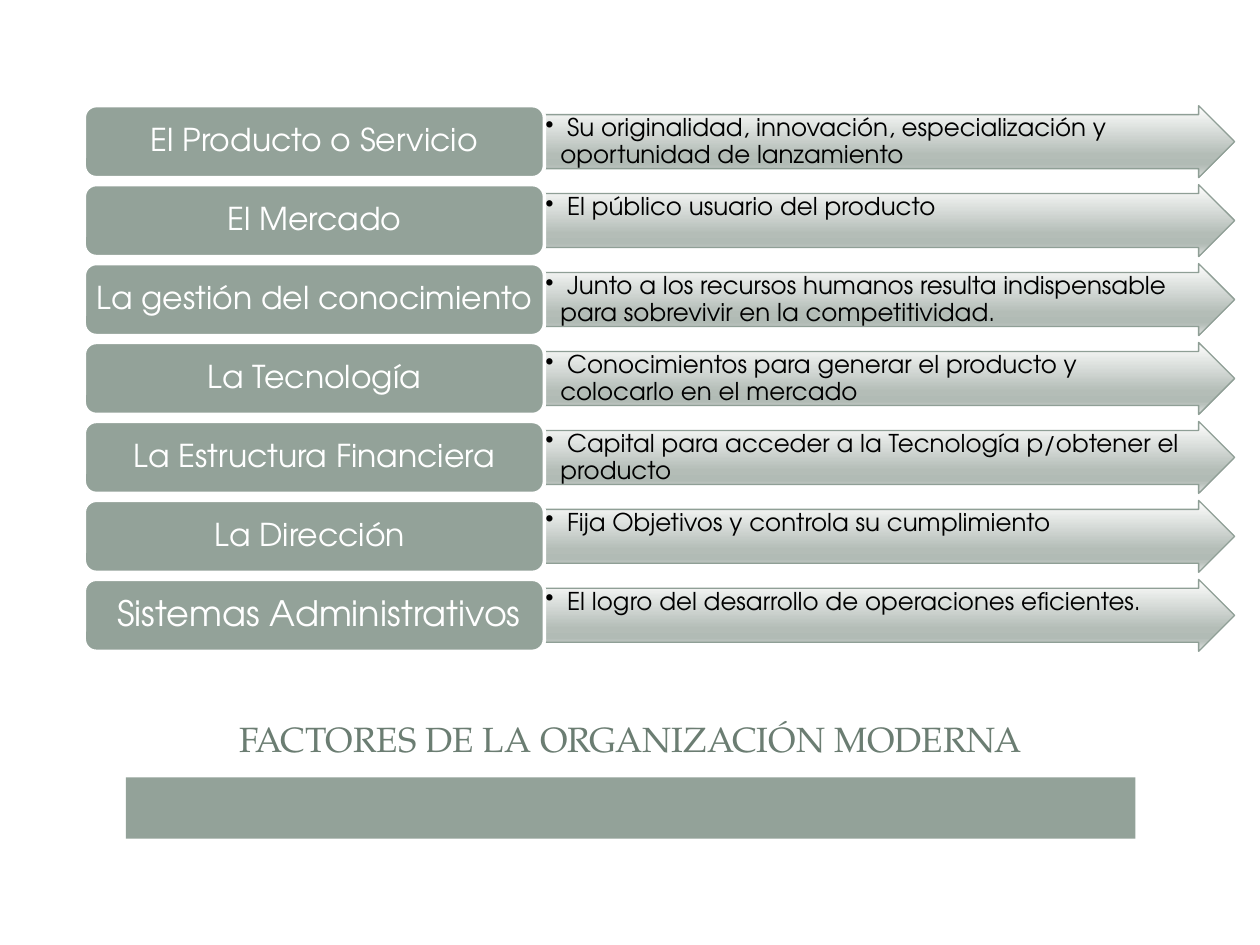
from lxml import etree
from pptx import Presentation
from pptx.dml.color import RGBColor
from pptx.enum.shapes import MSO_SHAPE
from pptx.enum.text import MSO_ANCHOR, MSO_AUTO_SIZE, PP_ALIGN
from pptx.oxml.ns import qn
from pptx.util import Cm, Pt

RECTANGLE = MSO_SHAPE.RECTANGLE
ROUNDED = MSO_SHAPE.ROUNDED_RECTANGLE
ARROW = MSO_SHAPE.RIGHT_ARROW
TOP, MIDDLE = MSO_ANCHOR.TOP, MSO_ANCHOR.MIDDLE
LEFT, CENTER = PP_ALIGN.LEFT, PP_ALIGN.CENTER
FIXED_SIZE = MSO_AUTO_SIZE.NONE

BODY_FONT, TITLE_FONT = "TeX Gyre Adventor", "TeX Gyre Pagella"
SAGE, SAGE_LINE, SAGE_TEXT = "93A299", "8F9F96", "6B7D72"
WHITE, BLACK = "FFFFFF", "000000"
ARROW_STOPS = [(0, "FEFEFE"), (68, "B4BDB7"), (81, "B1BBB5"),
               (86, "B9C1BC"), (100, "E1E4E2")]

TITLE = "FACTORES DE LA ORGANIZACIÓN MODERNA"
FACTORS = [
    ("El Producto o Servicio", 18,
     " Su originalidad, innovación, especialización y oportunidad de lanzamiento"),
    ("El Mercado", 18, " El público usuario del producto"),
    ("La gestión del conocimiento", 18,
     " Junto a los recursos humanos resulta indispensable para sobrevivir en la competitividad."),
    ("La Tecnología", 18,
     " Conocimientos para generar el producto y colocarlo en el mercado"),
    ("La Estructura Financiera", 18,
     " Capital para acceder a la Tecnología p/obtener el producto"),
    ("La Dirección ", 18, " Fija Objetivos y controla su cumplimiento"),
    (" Sistemas Administrativos", 20,
     " El logro del desarrollo de operaciones eficientes."),
]


def rgb(color):
    return RGBColor.from_string(color)


def write(shape, text, size, color, font=BODY_FONT, align=CENTER, anchor=MIDDLE,
          insets=(0.17, 0.1, 0.17, 0.1), spacing=0.9, bullet_indent=None):
    """Fill the shape with one paragraph; insets (l, t, r, b) and indent in cm."""
    frame = shape.text_frame
    frame.word_wrap = True
    frame.auto_size = FIXED_SIZE
    frame.vertical_anchor = anchor
    (frame.margin_left, frame.margin_top,
     frame.margin_right, frame.margin_bottom) = map(Cm, insets)
    paragraph = frame.paragraphs[0]
    paragraph.alignment = align
    paragraph.line_spacing = spacing
    run = paragraph.add_run()
    run.text = text
    run.font.name = font
    run.font.size = Pt(size)
    run.font.color.rgb = rgb(color)
    if bullet_indent:
        paragraph.level = 1
        properties = paragraph._p.get_or_add_pPr()
        properties.set("marL", str(Cm(bullet_indent)))
        properties.set("indent", str(-Cm(bullet_indent)))
        etree.SubElement(properties, qn("a:buChar"), char="•")


def add_block(slide, preset, box, fill=None, line=None, line_width=0.75):
    block = slide.shapes.add_shape(preset, *map(Cm, box))
    block.shadow.inherit = False
    if fill:
        block.fill.solid()
        block.fill.fore_color.rgb = rgb(fill)
    if line:
        block.line.color.rgb = rgb(line)
        block.line.width = Pt(line_width)
    else:
        block.line.fill.background()
    return block


def fade_down(shape, stops):
    """Give the shape a top-to-bottom gradient with (percent, colour) stops."""
    shape.fill.gradient()
    shape.fill.gradient_angle = 270
    stop_list = shape._element.spPr.find(qn("a:gradFill")).find(qn("a:gsLst"))
    for old_stop in list(stop_list):
        stop_list.remove(old_stop)
    for percent, color in stops:
        stop = etree.SubElement(stop_list, qn("a:gs"), pos=str(percent * 1000))
        etree.SubElement(stop, qn("a:srgbClr"), val=color)


def add_factor(slide, box, name, name_size, description):
    left, top, width, height = box
    label_width = width * 0.4
    arrow = add_block(slide, ARROW,
                      (left + label_width, top, width - label_width, height),
                      line=SAGE_LINE)
    arrow.adjustments[0] = 0.75
    fade_down(arrow, ARROW_STOPS)
    write(arrow, description, 14, BLACK, align=LEFT, anchor=TOP,
          insets=(0.02, 0.02, 0.2, 0.02), bullet_indent=0.3)
    label = add_block(slide, ROUNDED, (left, top, label_width, height),
                      fill=SAGE, line=WHITE, line_width=2)
    write(label, name, name_size, WHITE)


def add_factor_list(slide, box, factors, gap=0.14):
    left, top, width, height = box
    pitch = (height + gap) / len(factors)
    for row, factor in enumerate(factors):
        add_factor(slide, (left, top + row * pitch, width, pitch - gap), *factor)


def add_title_band(slide, box, title_height=1.45, bar_height=1.24):
    left, top, width, height = box
    add_block(slide, RECTANGLE,
              (left, top + height - bar_height, width, bar_height), fill=SAGE)
    title = slide.shapes.title
    title.left, title.top, title.width, title.height = map(
        Cm, (left, top, width, title_height))
    write(title, TITLE, 20, SAGE_TEXT, font=TITLE_FONT, spacing=1)


def main():
    deck = Presentation()
    deck.slide_width, deck.slide_height = Cm(25.4), Cm(19.05)
    slide = deck.slides.add_slide(deck.slide_layouts.get_by_name("Title Only"))
    add_factor_list(slide, (1.7, 2.13, 23.19, 11), FACTORS)
    add_title_band(slide, (2.54, 14.17, 20.35, 2.74))
    deck.save("out.pptx")


if __name__ == "__main__":
    main()
